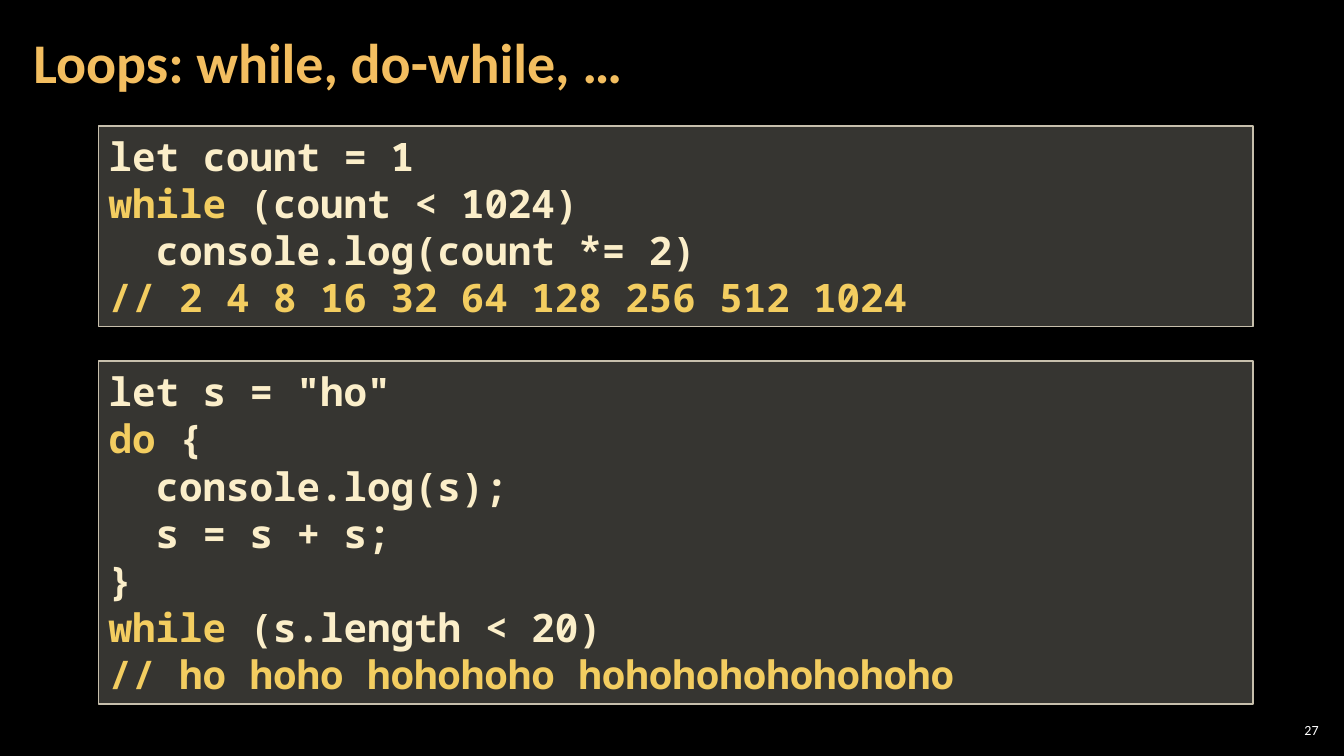
"""Build the slide on while and do-while loops with two code panels."""
from dataclasses import dataclass

from lxml.etree import SubElement
from pptx import Presentation
from pptx.dml.color import RGBColor as Rgb
from pptx.enum.shapes import MSO_SHAPE as Preset
from pptx.enum.text import MSO_ANCHOR as Anchor, MSO_AUTO_SIZE as AutoSize, PP_ALIGN as Align
from pptx.oxml.ns import qn
from pptx.slide import Slide
from pptx.text.text import TextFrame
from pptx.util import Inches, Length, Pt

WIDTH, HEIGHT = Inches(13.33), Inches(7.5)
COLUMNS = ROWS = 100


@dataclass(frozen=True)
class Theme:
    """Colours, fonts and type sizes of the slide."""
    background: str = "000000"
    heading: str = "F3BE60"
    code: str = "FBEEC9"
    accent: str = "F3CD60"
    panel: str = "D9D5C7"
    border: str = "C7BFAC"
    page: str = "FFFFFF"
    sans: str = "Calibri"
    mono: str = "Noto Sans Mono"
    heading_size: int = 40
    code_size: int = 28
    page_size: int = 10
    panel_opacity: int = 25


@dataclass(frozen=True)
class Area:
    """A rectangle in grid columns and rows."""
    column: float
    row: float
    columns: float
    rows: float

    def emu(self) -> tuple[Length, ...]:
        """Return left, top, width and height as lengths."""
        return tuple(Length(round(share)) for share in (
            WIDTH * self.column / COLUMNS, HEIGHT * self.row / ROWS,
            WIDTH * self.columns / COLUMNS, HEIGHT * self.rows / ROWS))


@dataclass(frozen=True)
class Span:
    """A stretch of text in one colour."""
    text: str
    colour: str


THEME = Theme()
HEADING_AREA = Area(1.58, 0.53, 78.53, 16.13)
PAGE_AREA = Area(94.88, 95.2, 3.53, 2.8)
PANEL_COLUMN, PANEL_COLUMNS = 7.35, 85.88
FIRST_PANEL_ROW, PANEL_GAP = 16.67, 4.53
LINE_ROWS, PANEL_PADDING = 6.27, 1.47
KEYWORDS = ("while", "do")

WHILE_LOOP = """let count = 1
while (count < 1024)
  console.log(count *= 2)
// 2 4 8 16 32 64 128 256 512 1024"""

DO_WHILE_LOOP = """let s = "ho"
do {
  console.log(s);
  s = s + s;
}
while (s.length < 20)
// ho hoho hohohoho hohohohohohohoho"""


def write(frame: TextFrame, lines: list[list[Span]], *, font: str, size: int,
          bold: bool = False, align: Align = Align.LEFT, spacing: float = 1.0,
          inset_x: float = 0.1, inset_y: float = 0.05, hanging: float = 0,
          fit: AutoSize = AutoSize.NONE) -> None:
    """Fill a text frame with formatted lines of coloured spans."""
    frame.word_wrap = True
    frame.auto_size = fit
    frame.vertical_anchor = Anchor.MIDDLE
    frame.margin_left = frame.margin_right = Inches(inset_x)
    frame.margin_top = frame.margin_bottom = Inches(inset_y)
    for index, spans in enumerate(lines):
        line = frame.add_paragraph() if index else frame.paragraphs[0]
        line.alignment, line.line_spacing = align, spacing
        if hanging:
            properties = line._p.get_or_add_pPr()
            properties.set("marL", str(Inches(hanging)))
            properties.set("indent", str(-Inches(hanging)))
        for span in spans:
            run = line.add_run()
            run.text = span.text
            run.font.name, run.font.size, run.font.bold = font, Pt(size), bold
            run.font.color.rgb = Rgb.from_string(span.colour)


def highlight(line: str) -> list[Span]:
    """Split a code line into spans, accenting comments and loop keywords."""
    if line.startswith("//"):
        return [Span(line, THEME.accent)]
    keyword, space, rest = line.partition(" ")
    if keyword in KEYWORDS:
        return [Span(keyword, THEME.accent), Span(space + rest, THEME.code)]
    return [Span(line, THEME.code)]


def add_heading(slide: Slide, text: str) -> None:
    """Place and fill the title placeholder."""
    heading = slide.shapes.title
    heading.left, heading.top, heading.width, heading.height = HEADING_AREA.emu()
    write(heading.text_frame, [[Span(text, THEME.heading)]], font=THEME.sans,
          size=THEME.heading_size, bold=True, spacing=0.9, inset_x=0.12, inset_y=0.04)


def add_code_panel(slide: Slide, code: str, row: float) -> float:
    """Draw a translucent code panel and return the row where it ends."""
    lines = code.splitlines()
    rows = len(lines) * LINE_ROWS + PANEL_PADDING
    panel = slide.shapes.add_shape(
        Preset.RECTANGLE, *Area(PANEL_COLUMN, row, PANEL_COLUMNS, rows).emu())
    panel.shadow.inherit = False
    panel.fill.solid()
    panel.fill.fore_color.rgb = Rgb.from_string(THEME.panel)
    tint = panel._element.spPr.find(qn("a:solidFill")).find(qn("a:srgbClr"))
    SubElement(tint, qn("a:alpha")).set("val", str(THEME.panel_opacity * 1000))
    panel.line.color.rgb = Rgb.from_string(THEME.border)
    panel.line.width = Pt(1)
    write(panel.text_frame, [highlight(line) for line in lines], font=THEME.mono,
          size=THEME.code_size, bold=True, hanging=0.5, fit=AutoSize.SHAPE_TO_FIT_TEXT)
    return row + rows


def add_page_number(slide: Slide, number: int) -> None:
    """Write the page number in the bottom right corner."""
    page = slide.shapes.add_textbox(*PAGE_AREA.emu())
    write(page.text_frame, [[Span(str(number), THEME.page)]], font=THEME.sans,
          size=THEME.page_size, align=Align.RIGHT, inset_x=0.04, inset_y=0.04)


def main() -> None:
    """Build and save the presentation."""
    deck = Presentation()
    deck.slide_width, deck.slide_height = WIDTH, HEIGHT
    slide = deck.slides.add_slide(deck.slide_layouts.get_by_name("Title Only"))
    slide.background.fill.solid()
    slide.background.fill.fore_color.rgb = Rgb.from_string(THEME.background)
    add_page_number(slide, 27)
    add_heading(slide, "Loops: while, do-while, …")
    row = FIRST_PANEL_ROW
    for loop in (WHILE_LOOP, DO_WHILE_LOOP):
        row = add_code_panel(slide, loop, row) + PANEL_GAP
    deck.save("out.pptx")


if __name__ == "__main__":
    main()
